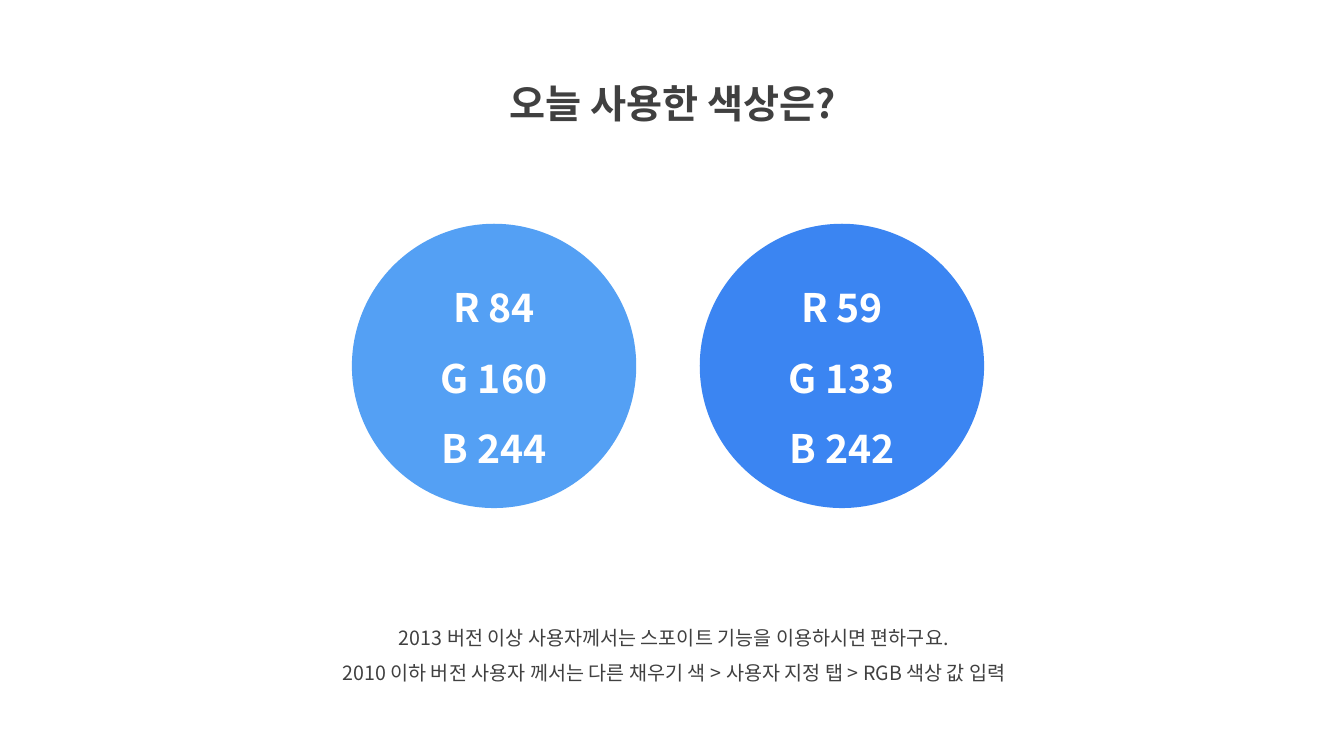
from lxml.etree import SubElement
from pptx import Presentation
from pptx.dml.color import RGBColor
from pptx.enum.shapes import MSO_SHAPE
from pptx.enum.text import MSO_ANCHOR, MSO_AUTO_SIZE, PP_ALIGN
from pptx.oxml.ns import qn
from pptx.util import Inches, Pt

FONT = "Noto Sans CJK KR"
COLORS = {"text": "404040", "white": "FFFFFF"}
SWATCHES = [(84, 160, 244), (59, 133, 242)]
TITLE = "오늘 사용한 색상은?"
NOTES = [
    "2013 버전 이상 사용자께서는 스포이트 기능을 이용하시면 편하구요.",
    "2010 이하 버전 사용자 께서는 다른 채우기 색 > 사용자 지정 탭 > RGB 색상 값 입력",
]


def write_lines(text_frame, lines, size, color, bold=False):
    text_frame.word_wrap = True
    for index, line in enumerate(lines):
        paragraph = text_frame.add_paragraph() if index else text_frame.paragraphs[0]
        paragraph.text = line
        paragraph.alignment = PP_ALIGN.CENTER
        paragraph.line_spacing = 1.5
        font = paragraph.font
        font.name = FONT
        font.size = Pt(size)
        font.bold = bold
        font.color.rgb = RGBColor.from_string(COLORS[color])
        properties = paragraph._p.pPr.find(qn("a:defRPr"))
        SubElement(properties, qn("a:ea")).set("typeface", FONT)


def add_text(slide, left, top, width, height, lines, size, bold=False):
    box = slide.shapes.add_textbox(
        Inches(left), Inches(top), Inches(width), Inches(height))
    write_lines(box.text_frame, lines, size, "text", bold)
    box.text_frame.auto_size = MSO_AUTO_SIZE.SHAPE_TO_FIT_TEXT


def add_swatches(slide, left, top, diameter, gap):
    for index, rgb in enumerate(SWATCHES):
        circle = slide.shapes.add_shape(
            MSO_SHAPE.OVAL, Inches(left + index * (diameter + gap)), Inches(top),
            Inches(diameter), Inches(diameter))
        circle.shadow.inherit = False
        circle.fill.solid()
        circle.fill.fore_color.rgb = RGBColor(*rgb)
        circle.line.fill.background()
        circle.text_frame.vertical_anchor = MSO_ANCHOR.MIDDLE
        lines = [f"{channel} {value}" for channel, value in zip("RGB", rgb)]
        write_lines(circle.text_frame, lines, 28, "white", bold=True)


def main():
    presentation = Presentation()
    presentation.slide_width = Inches(13.33)
    presentation.slide_height = Inches(7.5)
    slide = presentation.slides.add_slide(presentation.slide_layouts[6])
    add_text(slide, 4.36, 0.5, 4.63, 0.72, [TITLE], 28, bold=True)
    add_text(slide, 2.69, 6.04, 7.99, 0.81, NOTES, 14)
    add_swatches(slide, 3.49, 2.22, 2.82, 0.63)
    presentation.save("out.pptx")


if __name__ == "__main__":
    main()
